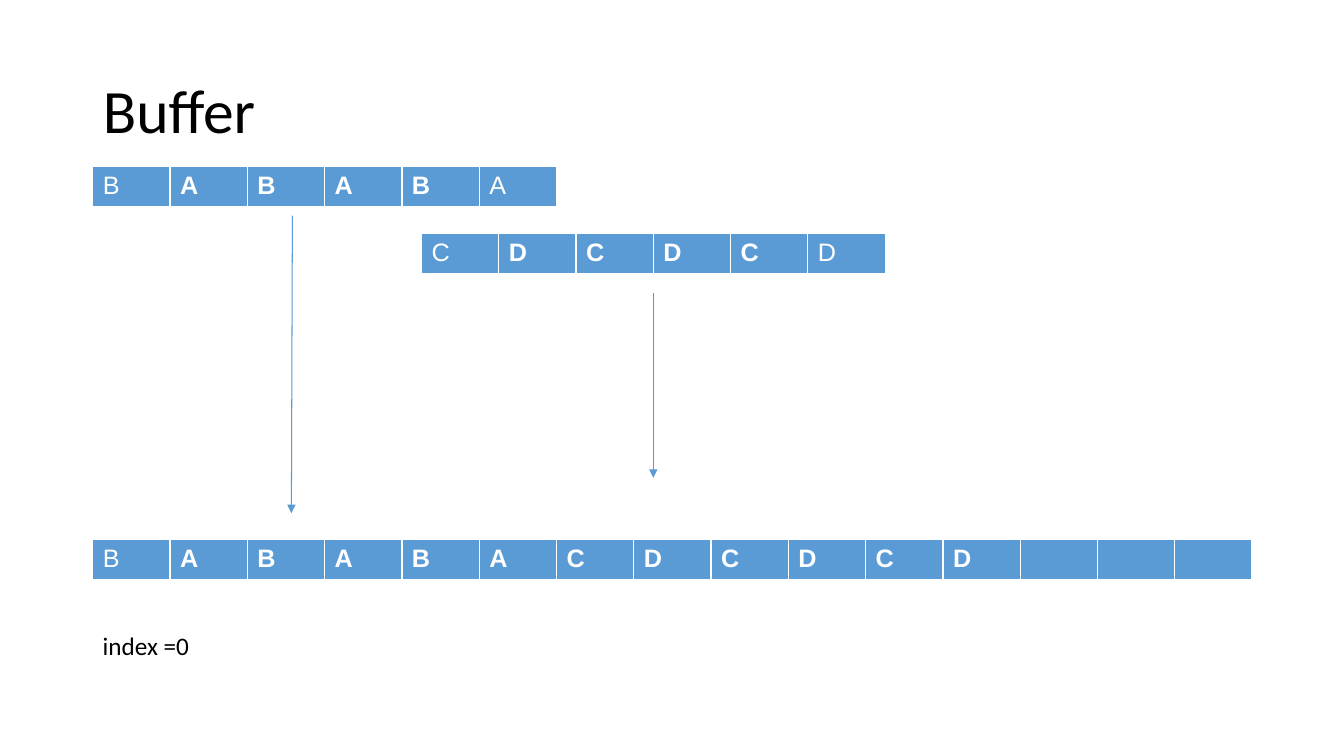
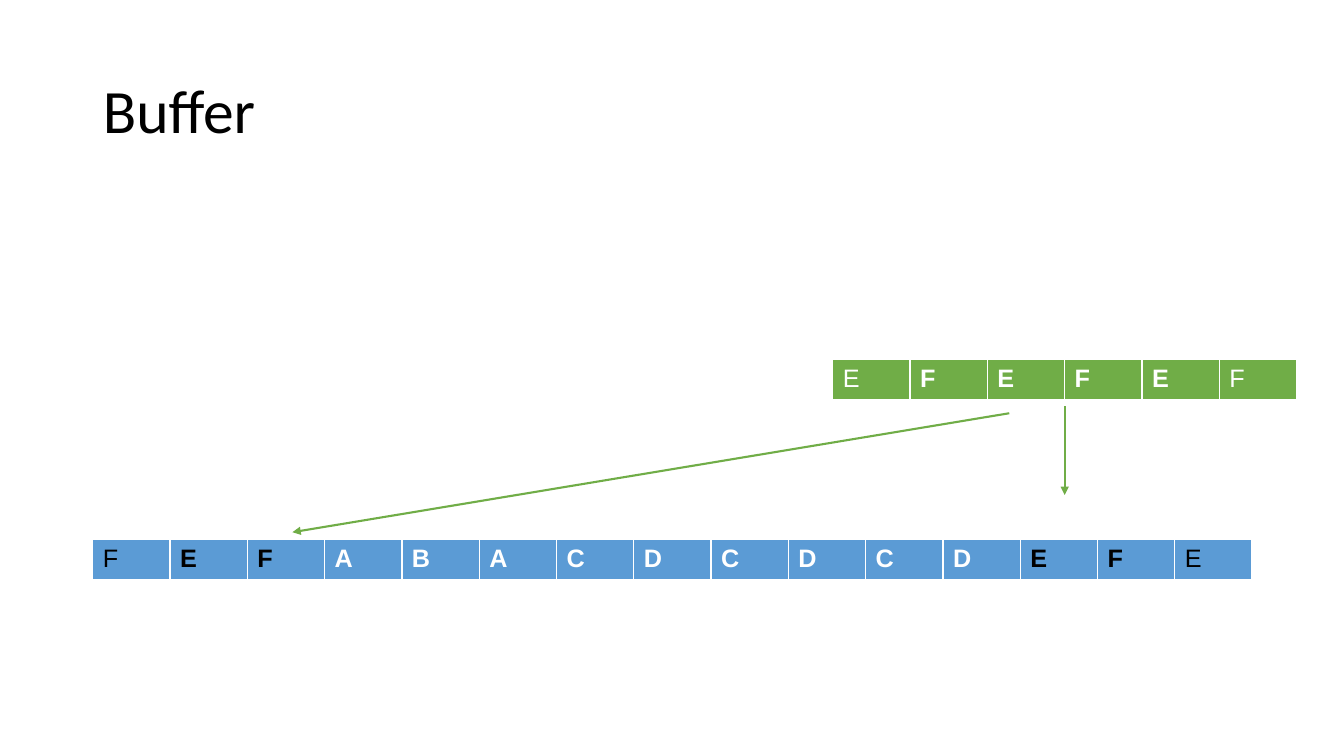
import dataclasses

import pptx
import pptx.dml.color
import pptx.enum.shapes
import pptx.enum.text
import pptx.oxml
import pptx.oxml.ns
import pptx.util

Inches = pptx.util.Inches
Pt = pptx.util.Pt

COLORS = {"blue": "5B9BD5", "green": "70AD47", "white": "FFFFFF", "black": "000000"}
LEFT = 0.92
CONTENT_WIDTH = 11.5
BUFFER_SIZE = 15
CELL_WIDTH = CONTENT_WIDTH / BUFFER_SIZE
CELL_HEIGHT = 0.41
BUFFER_TOP = 5.35
BORDERS = {"lnL": 1, "lnR": 1, "lnT": 1, "lnB": 3}


@dataclasses.dataclass
class CellRow:
    left: float
    top: float
    letters: str
    fill: str = "blue"
    size: int = 6
    dark_letters: str = ""


@dataclasses.dataclass
class Arrow:
    start: tuple[float, float]
    end: tuple[float, float]
    color: str = "blue"
    width: float = 0.75


@dataclasses.dataclass
class BufferSlide:
    rows: list[CellRow]
    arrows: list[Arrow]
    caption: str = ""


SLIDES = [
    BufferSlide(
        rows=[
            CellRow(LEFT, BUFFER_TOP, "BABABACDCDCD", size=BUFFER_SIZE),
            CellRow(LEFT, 1.65, "BABABA"),
            CellRow(4.18, 2.32, "CDCDCD"),
        ],
        arrows=[Arrow((2.9, 2.14), (2.89, 5.09)), Arrow((6.48, 2.91), (6.48, 4.74))],
        caption="index =0",
    ),
    BufferSlide(
        rows=[
            CellRow(LEFT, BUFFER_TOP, "FEFABACDCDCDEFE", size=BUFFER_SIZE, dark_letters="EF"),
            CellRow(8.26, 3.57, "EFEFEF", fill="green"),
        ],
        arrows=[
            Arrow((10.01, 4.1), (2.9, 5.28), "green", 1.5),
            Arrow((10.56, 4.03), (10.56, 4.91), "green", 1.5),
        ],
    ),
]


def color_of(name: str) -> pptx.dml.color.RGBColor:
    return pptx.dml.color.RGBColor.from_string(COLORS[name])


def write_text(text_frame, text: str, *, size: float = 18, font: str = "Calibri",
               color: str = "black", bold: bool = False, line_spacing: float = 1.0) -> None:
    paragraph = text_frame.paragraphs[0]
    paragraph.alignment = pptx.enum.text.PP_ALIGN.LEFT
    paragraph.line_spacing = line_spacing
    paragraph.font.size = Pt(size)
    if text:
        run = paragraph.add_run()
        run.text = text
        run.font.size = Pt(size)
        run.font.name = font
        run.font.bold = bold
        run.font.color.rgb = color_of(color)


def add_title(slide, text: str) -> None:
    title = slide.shapes.title
    title.left, title.top = Inches(LEFT), Inches(0.4)
    title.width, title.height = Inches(CONTENT_WIDTH), Inches(1.45)
    title.text_frame.vertical_anchor = pptx.enum.text.MSO_ANCHOR.MIDDLE
    write_text(title.text_frame, text, size=44, line_spacing=0.9)


def add_borders(cell) -> None:
    properties = cell._tc.get_or_add_tcPr()
    for tag, width in BORDERS.items():
        properties.append(pptx.oxml.parse_xml(
            f'<a:{tag} {pptx.oxml.ns.nsdecls("a")} w="{Pt(width)}"><a:solidFill>'
            f'<a:srgbClr val="{COLORS["white"]}"/></a:solidFill></a:{tag}>'))


def add_cell_row(slide, row: CellRow) -> None:
    frame = slide.shapes.add_table(
        1, row.size, Inches(row.left), Inches(row.top),
        Inches(CELL_WIDTH * row.size), Inches(CELL_HEIGHT))
    table = frame.table
    table.first_row = False
    table.horz_banding = False
    for index, letter in enumerate(row.letters.ljust(row.size)):
        table.columns[index].width = Inches(CELL_WIDTH)
        cell = table.cell(0, index)
        add_borders(cell)
        cell.fill.solid()
        cell.fill.fore_color.rgb = color_of(row.fill)
        # The end cells are regular, the inner ones bold
        write_text(cell.text_frame, letter.strip(), font="Arial",
                   color="black" if letter in row.dark_letters else "white",
                   bold=0 < index < row.size - 1)


def add_arrow(slide, arrow: Arrow) -> None:
    connector = slide.shapes.add_connector(
        pptx.enum.shapes.MSO_CONNECTOR.STRAIGHT,
        *(Inches(value) for value in arrow.start + arrow.end))
    connector.line.color.rgb = color_of(arrow.color)
    connector.line.width = Pt(arrow.width)
    namespace = pptx.oxml.ns.nsdecls("a")
    connector.line._get_or_add_ln().append(
        pptx.oxml.parse_xml(f'<a:tailEnd {namespace} type="triangle"/>'))
    connector._element.spPr.append(pptx.oxml.parse_xml(f"<a:effectLst {namespace}/>"))


def add_caption(slide, text: str) -> None:
    box = slide.shapes.add_textbox(Inches(LEFT), Inches(6.2), Inches(1.07), Inches(0.4))
    box.text_frame.word_wrap = False
    box.text_frame.auto_size = pptx.enum.text.MSO_AUTO_SIZE.SHAPE_TO_FIT_TEXT
    write_text(box.text_frame, text)


def main() -> None:
    presentation = pptx.Presentation()
    presentation.slide_width = Inches(13.33)
    presentation.slide_height = Inches(7.5)
    title_only = presentation.slide_layouts.get_by_name("Title Only")
    for content in SLIDES:
        slide = presentation.slides.add_slide(title_only)
        add_title(slide, "Buffer")
        for row in content.rows:
            add_cell_row(slide, row)
        for arrow in content.arrows:
            add_arrow(slide, arrow)
        if content.caption:
            add_caption(slide, content.caption)
    presentation.save("out.pptx")


if __name__ == "__main__":
    main()
